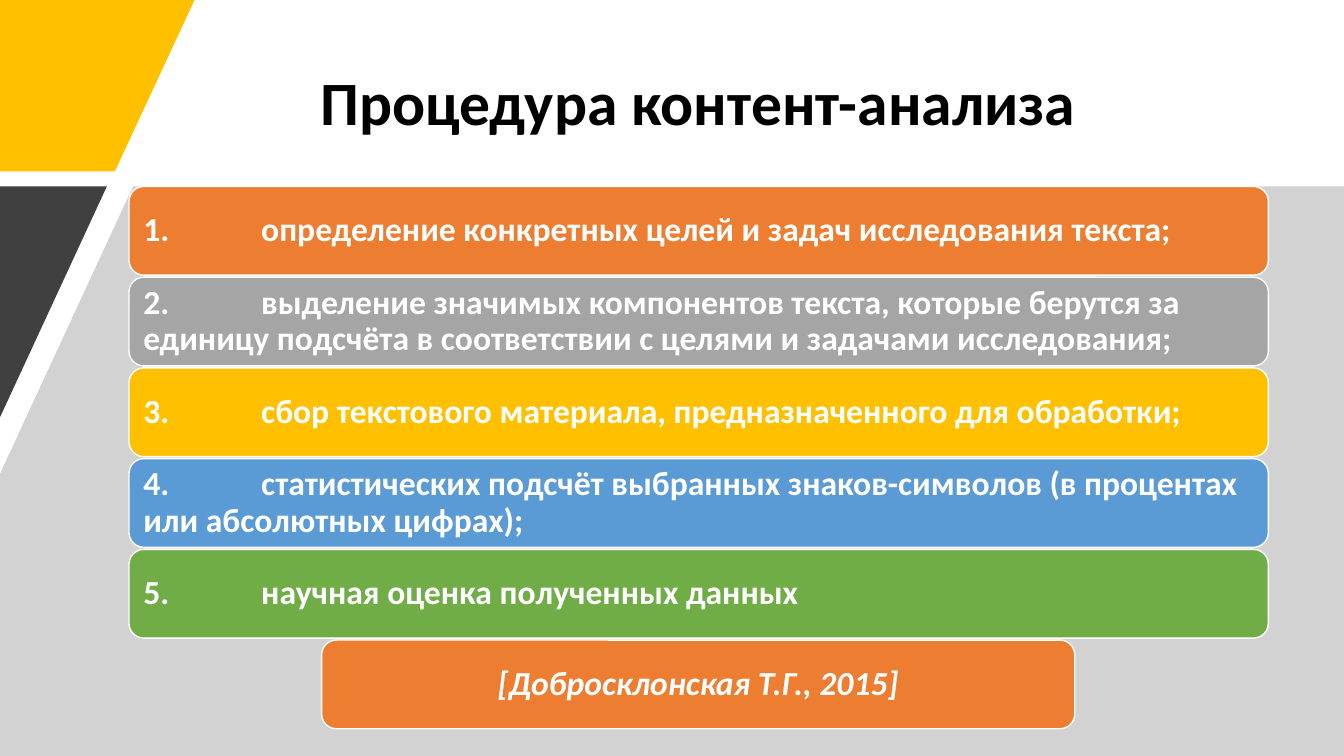
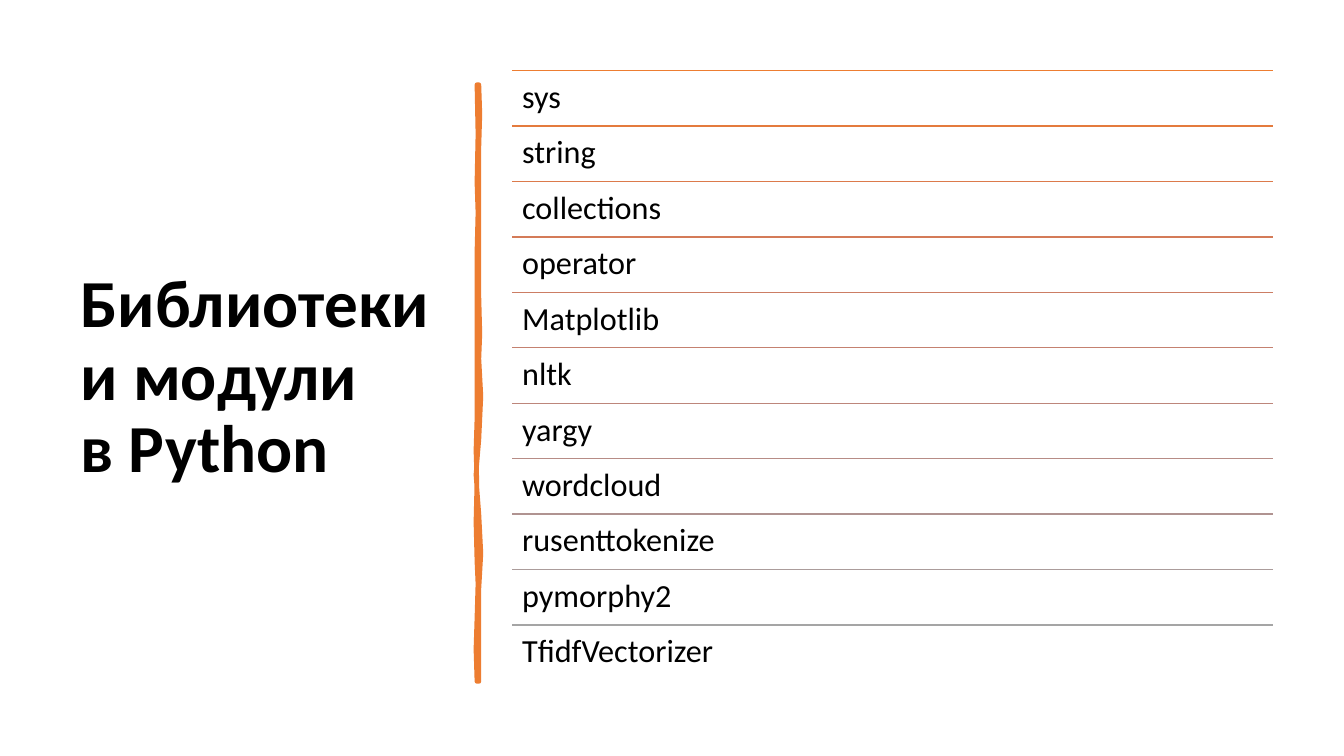
from colorsys import hls_to_rgb, rgb_to_hls

from lxml import etree
from pptx import Presentation
from pptx.dml.color import RGBColor
from pptx.enum.shapes import MSO_CONNECTOR, MSO_SHAPE
from pptx.enum.text import MSO_ANCHOR, PP_ALIGN
from pptx.oxml.ns import qn
from pptx.util import Pt

PX = 9144  # EMU in one px, 100 px to the inch
STRAIGHT = MSO_CONNECTOR.STRAIGHT
ROUNDED = MSO_SHAPE.ROUNDED_RECTANGLE
TOP, MIDDLE = MSO_ANCHOR.TOP, MSO_ANCHOR.MIDDLE
LEFT, CENTER = PP_ALIGN.LEFT, PP_ALIGN.CENTER

FONT = "Calibri"
BLACK = RGBColor(0x00, 0x00, 0x00)
WHITE = RGBColor(0xFF, 0xFF, 0xFF)
DARK = RGBColor(0x40, 0x40, 0x40)
PANEL = RGBColor(0xA6, 0xA6, 0xA6)
ORANGE = RGBColor(0xED, 0x7D, 0x31)
GRAY = RGBColor(0xA5, 0xA5, 0xA5)
YELLOW = RGBColor(0xFF, 0xC0, 0x00)
BLUE = RGBColor(0x5B, 0x9B, 0xD5)
GREEN = RGBColor(0x70, 0xAD, 0x47)

STEPS = [
    ("определение конкретных целей и задач исследования текста;", ORANGE),
    ("выделение значимых компонентов текста, которые берутся за единицу "
     "подсчёта в соответствии с целями и задачами исследования;", GRAY),
    ("сбор текстового материала, предназначенного для обработки;", YELLOW),
    ("статистических подсчёт выбранных знаков-символов (в процентах или "
     "абсолютных цифрах);", BLUE),
    ("научная оценка полученных данных", GREEN),
]
LIBRARIES = ["sys", "string", "collections", "operator", "Matplotlib", "nltk",
             "yargy", "wordcloud", "rusenttokenize", "pymorphy2",
             "TfidfVectorizer"]

# Brush stroke outline: down the right edge, then up the left one
BRUSH = [
    (475, 84), (476, 113), (475, 146), (475, 185), (475, 226), (475, 260),
    (475, 294), (476, 331), (475, 356), (477, 393), (475, 436), (472, 471),
    (475, 510), (477, 549), (475, 584), (475, 627), (475, 676), (473, 676),
    (472, 644), (473, 613), (474, 579), (473, 557), (472, 518), (473, 477),
    (472, 447), (473, 415), (473, 378), (473, 335), (473, 291), (473, 250),
    (474, 211), (473, 181), (474, 133), (473, 84),
]


def write(s, lines, size, color, bold=False, italic=False, align=LEFT,
          anchor=TOP, inset=(10, 10)):
    """Fill a shape with one paragraph; inset is (horizontal, vertical)."""
    tf = s.text_frame
    tf.word_wrap = True
    tf.vertical_anchor = anchor
    tf.margin_left = tf.margin_right = inset[0] * PX
    tf.margin_top = tf.margin_bottom = inset[1] * PX
    p = tf.paragraphs[0]
    p.alignment = align
    p.line_spacing = 0.9
    for i, line in enumerate(lines):
        if i:
            p.add_line_break()
        r = p.add_run()
        r.text = line
        r.font.name = FONT
        r.font.size = Pt(size)
        r.font.bold = bold
        r.font.italic = italic
        r.font.color.rgb = color
    return p


def add_text(slide, x, y, w, h, lines, size, **style):
    box = slide.shapes.add_textbox(x * PX, y * PX, w * PX, h * PX)
    write(box, lines, size, BLACK, **style)


def add_title(slide, x, y, w, h, lines, size, align=LEFT):
    add_text(slide, x, y, w, h, lines, size, bold=True, align=align,
             anchor=MIDDLE, inset=(10, 5))


def add_polygon(slide, points, color):
    start, *rest = points
    builder = slide.shapes.build_freeform(*start, scale=PX)
    builder.add_line_segments(rest, close=True)
    s = builder.convert_to_shape()
    s.shadow.inherit = False
    s.fill.solid()
    s.fill.fore_color.rgb = color
    s.line.fill.background()
    return s


def set_opacity(s, percent):
    color = s._element.spPr.find(qn("a:solidFill"))[0]
    etree.SubElement(color, qn("a:alpha"), val=str(percent * 1000))


def add_card(slide, x, y, w, h, text, color, **style):
    s = slide.shapes.add_shape(ROUNDED, x * PX, y * PX, w * PX, h * PX)
    s.shadow.inherit = False
    s.fill.solid()
    s.fill.fore_color.rgb = color
    s.line.color.rgb = WHITE
    s.line.width = Pt(1)
    return write(s, [text], 24, WHITE, bold=True, anchor=MIDDLE, **style)


def add_tab_stop(p, pos):
    tabs = etree.SubElement(p._p.get_or_add_pPr(), qn("a:tabLst"))
    etree.SubElement(tabs, qn("a:tab"), pos=str(pos * PX), algn="l")


def add_rule(slide, x1, x2, y, color):
    line = slide.shapes.add_connector(STRAIGHT, x1 * PX, y * PX, x2 * PX, y * PX)
    line.line.color.rgb = color
    line.line.width = Pt(1)
    etree.SubElement(line._element.spPr, qn("a:effectLst"))


def blend(first, last, t):
    """Colour at share t of the way between two colours, mixed in HLS."""
    a, b = (rgb_to_hls(*(v / 255 for v in c)) for c in (first, last))
    mixed = hls_to_rgb(*(u + (v - u) * t for u, v in zip(a, b)))
    return RGBColor(*(round(v * 255) for v in mixed))


def add_brush_stroke(slide):
    s = add_polygon(slide, BRUSH, ORANGE)
    s.line.color.rgb = ORANGE
    s.line.width = Pt(3.25)
    etree.SubElement(s.line._get_or_add_ln(), qn("a:round"))


def build_procedure(slide):
    add_polygon(slide, [(0, 0), (193, 0), (114, 170), (0, 170)], YELLOW)
    add_title(slide, 181, 40, 1024, 130, ["Процедура контент-анализа"], 44, CENTER)
    panel = add_polygon(slide, [(132, 185), (1333, 185), (1333, 750),
                                (0, 750), (0, 470)], PANEL)
    set_opacity(panel, 50)
    add_polygon(slide, [(0, 185), (106, 185), (0, 414)], DARK)

    top, pitch, height = 185, 90, 88
    for i, (text, color) in enumerate(STEPS):
        p = add_card(slide, 128, top + i * pitch, 1130, height,
                     f"{i + 1}.\t{text}", color)
        add_tab_stop(p, 117)
    add_card(slide, 319, top + len(STEPS) * pitch, 747, height,
             "[Добросклонская Т.Г., 2015]", ORANGE, italic=True, align=CENTER)


def build_libraries(slide):
    add_title(slide, 70, 70, 374, 611, ["Библиотеки и модули", "в Python"], 48)
    add_brush_stroke(slide)
    left, width, top, pitch = 508, 755, 70, 55
    for i, name in enumerate(LIBRARIES):
        y = top + i * pitch
        add_rule(slide, left, left + width, y,
                 blend(ORANGE, GRAY, i / (len(LIBRARIES) - 1)))
        add_text(slide, left, y, width, pitch, [name], 23)


def main():
    prs = Presentation()
    prs.slide_width, prs.slide_height = 1333 * PX, 750 * PX
    blank = prs.slide_layouts[6]
    for build in (build_procedure, build_libraries):
        build(prs.slides.add_slide(blank))
    prs.save("out.pptx")


if __name__ == "__main__":
    main()
